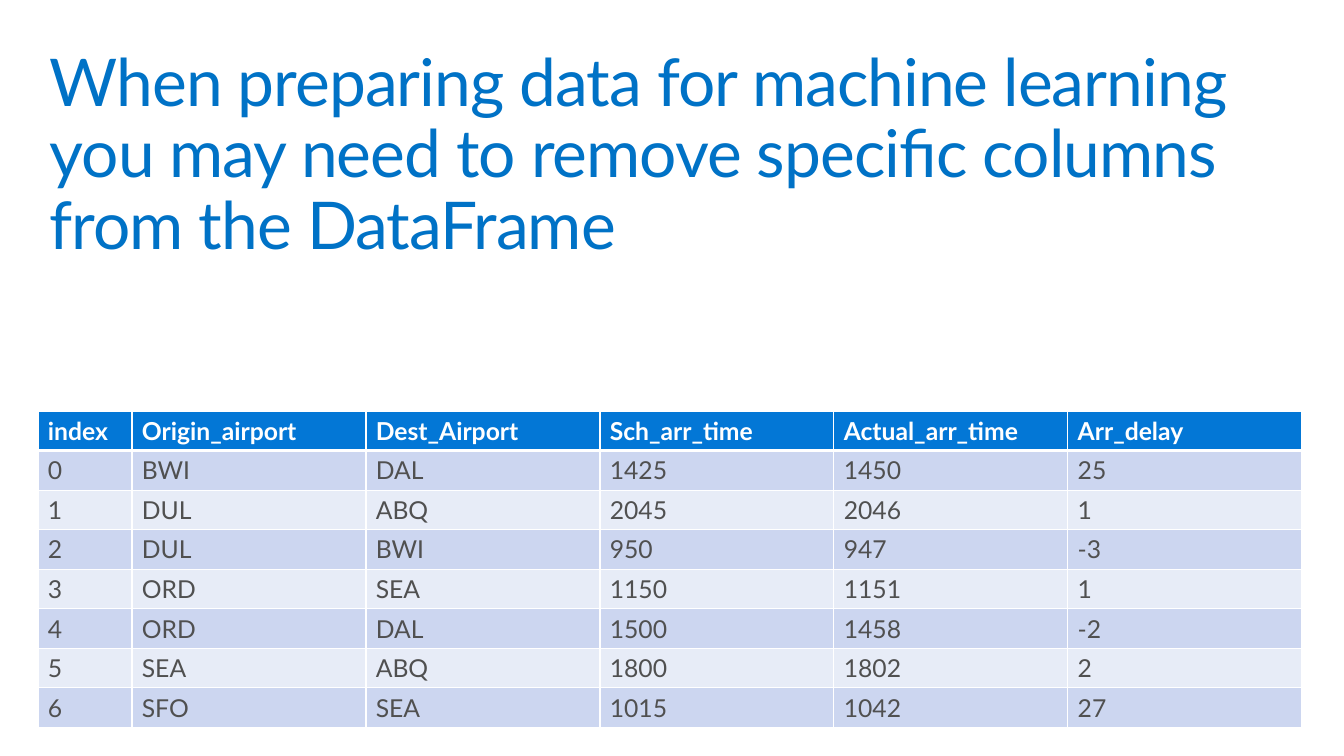
from lxml import etree
from pptx import Presentation
from pptx import util as u
from pptx.dml.color import RGBColor
from pptx.enum import text
from pptx.oxml.ns import qn

TITLE = ("When preparing data for machine learning you may need "
         "to remove specific columns from the DataFrame")
FLIGHTS = [
    ("index", "Origin_airport", "Dest_Airport", "Sch_arr_time", "Actual_arr_time", "Arr_delay"),
    ("0", "BWI", "DAL", "1425", "1450", "25"),
    ("1", "DUL", "ABQ", "2045", "2046", "1"),
    ("2", "DUL", "BWI", "950", "947", "-3"),
    ("3", "ORD", "SEA", "1150", "1151", "1"),
    ("4", "ORD", "DAL", "1500", "1458", "-2"),
    ("5", "SEA", "ABQ", "1800", "1802", "2"),
    ("6", "SFO", "SEA", "1015", "1042", "27"),
]
SLIDE = (1344, 756)
TITLE_BOX = (40, 40, 1265, 99)
TABLE_AT = (38, 411)
INDEX_W, COL_W, ROW_H = 94, 234, 39
HEADER_FILL, BANDS = "0377D6", ("CCD6F0", "E7ECF7")
TITLE_FONT = {"name": "Lato", "size": u.Pt(48), "bold": False}
HEADER_FONT = {"name": "Lato", "size": u.Pt(18), "bold": True}
BODY_FONT = {**HEADER_FONT, "bold": False}


def px(n):
    return u.Emu(round(n * 914400 / 98.8))


def rgb(value):
    return RGBColor.from_string(value)


def write(p, words, font, color):
    r = p.add_run()
    r.text = words
    for name, value in font.items():
        setattr(r.font, name, value)
    r.font.color.rgb = rgb(color)
    return r


def border(cell, side, width, color="FFFFFF"):
    ln = etree.SubElement(cell._tc.get_or_add_tcPr(), qn(f"a:ln{side}"), w=str(u.Pt(width)))
    fill = etree.SubElement(ln, qn("a:solidFill"))
    etree.SubElement(fill, qn("a:srgbClr"), val=color)


def add_title(s):
    tf = s.shapes.add_textbox(*map(px, TITLE_BOX)).text_frame
    margins = {f"margin_{side}": u.Inches(0.1) for side in ("left", "top", "right", "bottom")}
    layout = {"word_wrap": True, "vertical_anchor": text.MSO_ANCHOR.TOP, **margins}
    for name, value in layout.items():
        setattr(tf, name, value)
    p = tf.paragraphs[0]
    p.line_spacing = 0.9
    r = write(p, TITLE, TITLE_FONT, "0072C6")
    r.font._element.set("spc", "-70")


def add_flights(s):
    widths = [INDEX_W] + [COL_W] * (len(FLIGHTS[0]) - 1)
    size = (sum(widths), ROW_H * len(FLIGHTS))
    table = s.shapes.add_table(len(FLIGHTS), len(widths), *map(px, TABLE_AT + size)).table
    for col, width in zip(table.columns, widths):
        col.width = px(width)
    for i, values in enumerate(FLIGHTS):
        table.rows[i].height = px(ROW_H)
        header = i == 0
        fill = HEADER_FILL if header else BANDS[(i - 1) % 2]
        font, color = (HEADER_FONT, "FFFFFF") if header else (BODY_FONT, "505050")
        lines = {"L": 1, "R": 1, "T": 3 if i == 1 else 1, "B": 3 if header else 1}
        for j, value in enumerate(values):
            cell = table.cell(i, j)
            for side, width in lines.items():
                border(cell, side, width)
            cell.fill.solid()
            cell.fill.fore_color.rgb = rgb(fill)
            write(cell.text_frame.paragraphs[0], value, font, color)


def main():
    prs = Presentation()
    prs.slide_width, prs.slide_height = map(px, SLIDE)
    s = prs.slides.add_slide(prs.slide_layouts[6])
    add_title(s)
    add_flights(s)
    prs.save("out.pptx")


if __name__ == "__main__":
    main()
